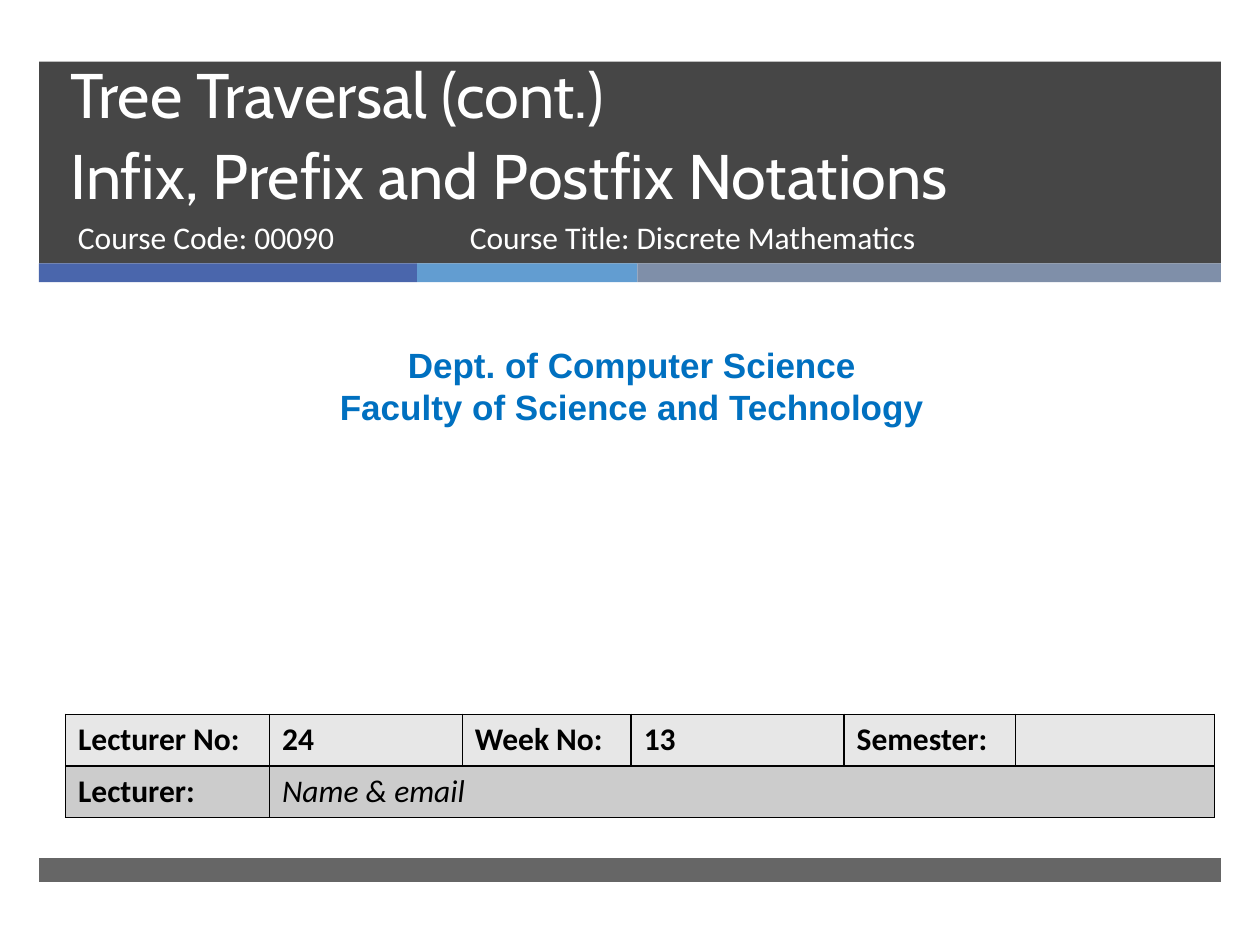
from lxml.etree import SubElement
from pptx import Presentation
from pptx.dml.color import RGBColor
from pptx.enum.shapes import MSO_SHAPE
from pptx.enum.text import MSO_ANCHOR, MSO_AUTO_SIZE, PP_ALIGN
from pptx.oxml.ns import qn
from pptx.util import Inches, Pt

TITLE_LINES = ["Tree Traversal (cont.) ", "Infix, Prefix and Postfix Notations"]
DEPARTMENT_LINES = ["Dept. of Computer Science", "Faculty of Science and Technology"]
COURSE_LABELS = [
    ("Course Code: 00090", 0.52, 3.05),
    ("Course Title: Discrete Mathematics", 3.63, 4.55),
]
LECTURE_ROWS = [
    ("E7E7E7", ["Lecturer No:", "24", "Week No:", "13", "Semester:", ""]),
    ("CCCCCC", ["Lecturer:", "Name & email"]),
]
COLUMN_WIDTHS = [1.62, 1.53, 1.34, 1.69, 1.36, 1.58]
ROW_HEIGHT = 0.41
BAND_LEFT, BAND_WIDTH = 0.31, 9.38
STRIPES = [("4A66AC", 3), ("629DD1", 1.75), ("7F8FA9", 4.63)]


def color(hex_value):
    return RGBColor.from_string(hex_value)


def place(shape, left, top, width, height):
    shape.left, shape.top = Inches(left), Inches(top)
    shape.width, shape.height = Inches(width), Inches(height)


def add_bar(slide, left, top, width, height, fill, opacity=100):
    box = [Inches(value) for value in (left, top, width, height)]
    bar = slide.shapes.add_shape(MSO_SHAPE.RECTANGLE, *box)
    bar.shadow.inherit = False
    bar.fill.solid()
    bar.fill.fore_color.rgb = color(fill)
    bar.line.fill.background()
    if opacity < 100:
        fill_color = bar.element.spPr.find(qn("a:solidFill"))[0]
        SubElement(fill_color, qn("a:alpha"), val=str(opacity * 1000))


def add_text(paragraph, text, font_name, size, hex_value, bold=False, italic=False):
    run = paragraph.add_run()
    run.text = text
    font = run.font
    font.name, font.size, font.bold, font.italic = font_name, Pt(size), bold, italic
    font.color.rgb = color(hex_value)


def add_bands(slide):
    add_bar(slide, BAND_LEFT, 0.49, BAND_WIDTH, 1.6, "262626", 85)
    left = BAND_LEFT
    for fill, width in STRIPES:
        add_bar(slide, left, 2.09, width, 0.15, fill)
        left += width
    add_bar(slide, BAND_LEFT, 6.81, BAND_WIDTH, 0.19, "262626", 70)


def fill_title(title):
    title.element.getparent().append(title.element)
    place(title, 0.46, 0.54, 8.54, 1.19)
    frame = title.text_frame
    frame.word_wrap = True
    frame.auto_size = MSO_AUTO_SIZE.NONE
    frame.vertical_anchor = MSO_ANCHOR.BOTTOM
    paragraph = frame.paragraphs[0]
    paragraph.alignment = PP_ALIGN.LEFT
    paragraph.line_spacing = Pt(46)
    for index, line in enumerate(TITLE_LINES):
        if index:
            paragraph.add_line_break()
        add_text(paragraph, line, "Cabin", 36, "FFFFFF")


def add_text_box(slide, left, top, width, height, lines, alignment, **style):
    box = [Inches(value) for value in (left, top, width, height)]
    frame = slide.shapes.add_textbox(*box).text_frame
    frame.word_wrap = True
    for index, line in enumerate(lines):
        paragraph = frame.add_paragraph() if index else frame.paragraphs[0]
        paragraph.alignment = alignment
        add_text(paragraph, line, **style)


def style_cell(cell, fill):
    properties = cell._tc.get_or_add_tcPr()
    for side in ("a:lnL", "a:lnR", "a:lnT", "a:lnB"):
        border = SubElement(properties, qn(side), w=str(Pt(1)))
        solid = SubElement(border, qn("a:solidFill"))
        SubElement(solid, qn("a:srgbClr"), val="000000")
    cell.fill.solid()
    cell.fill.fore_color.rgb = color(fill)


def add_lecture_table(slide):
    row_count, column_count = len(LECTURE_ROWS), len(COLUMN_WIDTHS)
    table = slide.shapes.add_table(
        row_count, column_count, Inches(0.52), Inches(5.67),
        Inches(sum(COLUMN_WIDTHS)), Inches(ROW_HEIGHT * row_count),
    ).table
    for column, width in zip(table.columns, COLUMN_WIDTHS):
        column.width = Inches(width)
    for row_index, (fill, texts) in enumerate(LECTURE_ROWS):
        table.rows[row_index].height = Inches(ROW_HEIGHT)
        for column_index in range(column_count):
            style_cell(table.cell(row_index, column_index), fill)
        for column_index, text in enumerate(texts):
            if text:
                is_contact = row_index == 1 and column_index == 1
                paragraph = table.cell(row_index, column_index).text_frame.paragraphs[0]
                add_text(paragraph, text, "Calibri", 18, "000000", not is_contact, is_contact)
    table.cell(1, 1).merge(table.cell(1, column_count - 1))


def main():
    """Build the lecture cover slide."""
    presentation = Presentation()
    presentation.slide_width, presentation.slide_height = Inches(10), Inches(7.5)
    slide = presentation.slides.add_slide(presentation.slide_layouts[5])
    add_bands(slide)
    fill_title(slide.shapes.title)
    for label, left, width in COURSE_LABELS:
        add_text_box(slide, left, 1.68, width, 0.53, [label], PP_ALIGN.LEFT,
                     font_name="Calibri", size=18, hex_value="FFFFFF")
    add_text_box(slide, 0.08, 2.68, 9.87, 0.77, DEPARTMENT_LINES, PP_ALIGN.CENTER,
                 font_name="Arial", size=20, hex_value="0070C0", bold=True)
    add_lecture_table(slide)
    presentation.save("out.pptx")


if __name__ == "__main__":
    main()
